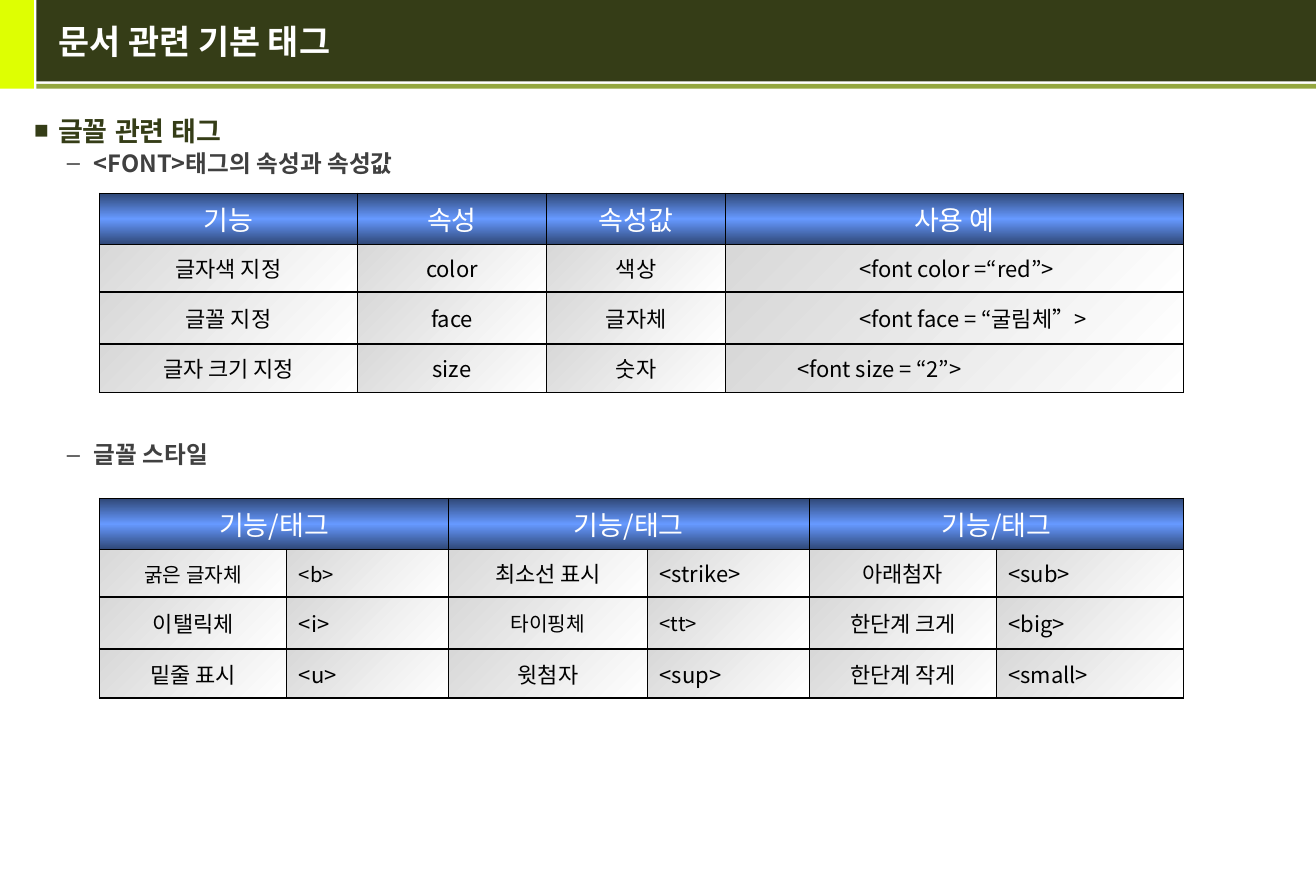
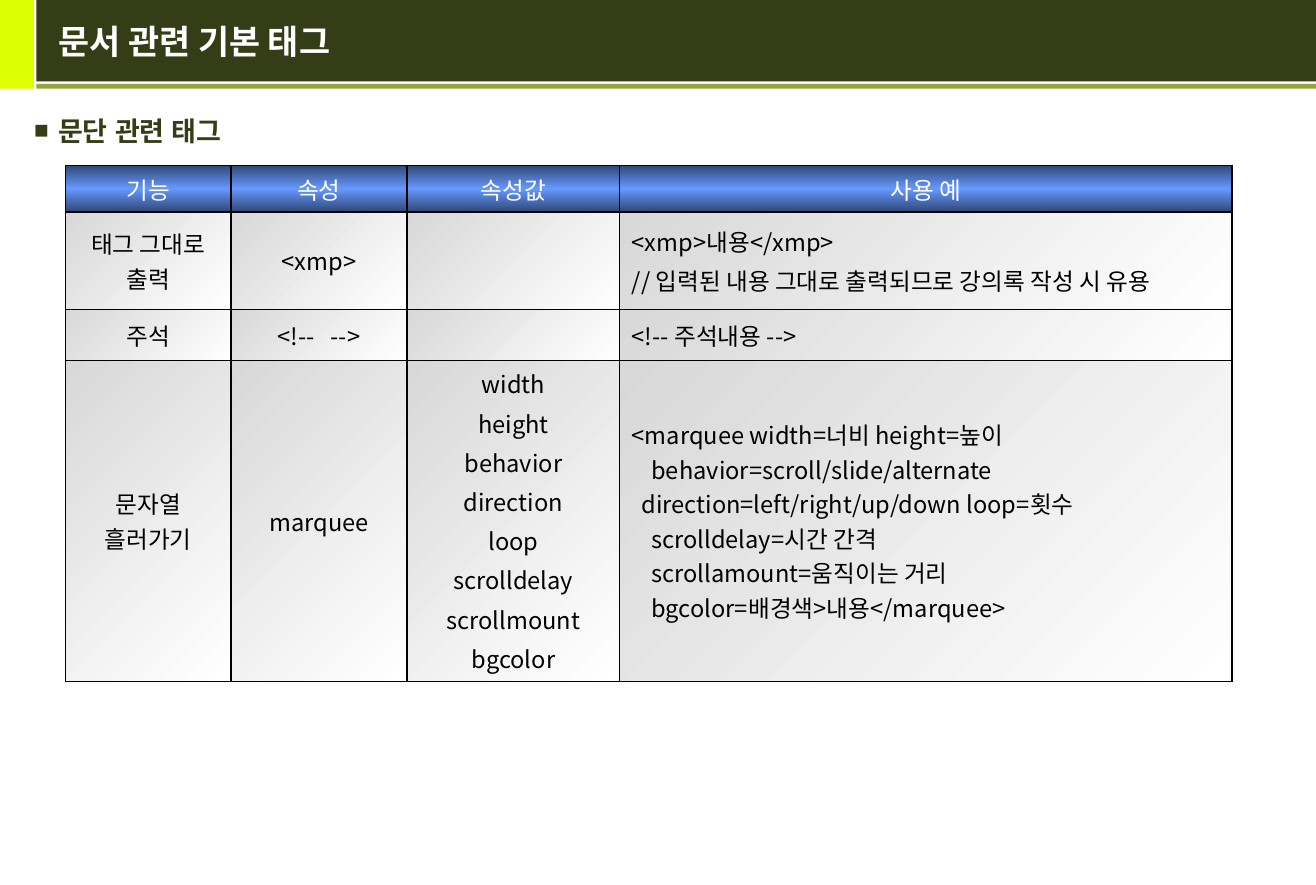
from dataclasses import dataclass

from lxml.etree import SubElement
from pptx import Presentation
from pptx.dml.color import RGBColor
from pptx.enum.shapes import MSO_SHAPE
from pptx.enum.text import MSO_ANCHOR, MSO_AUTO_SIZE, PP_ALIGN
from pptx.oxml.ns import qn
from pptx.util import Inches, Pt


@dataclass(frozen=True)
class Theme:
    lime: str = "DEFF02"
    dark_olive: str = "353D17"
    olive: str = "93A73F"
    grey: str = "404040"
    white: str = "FFFFFF"
    black: str = "000000"
    header_stops: tuple = ((0, "2F4776"), (50, "6699FF"), (100, "2F4776"))
    body_stops: tuple = ((0, "D8D8D8"), (100, "FFFFFF"))
    header_angle: int = 90
    body_angle: int = 45
    border: float = 1
    korean: str = "Noto Sans CJK KR"
    latin: str = "Arial"
    title_size: int = 20
    topic_size: int = 16
    subtopic_size: int = 14


@dataclass(frozen=True)
class Line:
    """One line of a table cell; size None takes the size of the table."""
    text: str
    size: int | None = None
    indent: float = 0
    gap: bool = True


THEME = Theme()
TITLE = "문서 관련 기본 태그"

# left, top, width, height, colour
BANDS = [
    (0, 0, 0.28, 0.73, THEME.lime),
    (0.3, 0, 10.54, 0.67, THEME.dark_olive),
    (0.3, 0.69, 10.54, 0.04, THEME.olive),
]

FONT_TABLE = {
    "at": (0.82, 1.59),
    "columns": [2.12, 1.56, 1.47, 3.77],
    "rows": [0.42, 0.39, 0.43, 0.4],
    "sizes": (16, 13),
    "left_columns": {3},
    "header": ["기능", "속성", "속성값", "사용 예"],
    "body": [
        ["글자색 지정", "color", "색상", Line("<font color =“red”>", indent=1)],
        ["글꼴 지정", "face", "글자체", Line("<font face = “굴림체”>", indent=1)],
        ["글자 크기 지정", "size", "숫자", Line("<font size = “2”>", indent=0.49)],
    ],
}

STYLE_TABLE = {
    "at": (0.82, 4.1),
    "columns": [1.54, 1.33, 1.64, 1.33, 1.54, 1.54],
    "rows": [0.42, 0.39, 0.43, 0.4],
    "sizes": (16, 13),
    "left_columns": {1, 3, 5},
    "header": ["기능/태그"] * 3,
    "body": [
        [Line("굵은 글자체", 12), Line("<b>", 12), "최소선 표시", "<strike>",
         "아래첨자", "<sub>"],
        ["이탤릭체", "<i>", Line("타이핑체", 12), Line("<tt>", 12),
         "한단계 크게", "<big>"],
        ["밑줄 표시", "<u>", "윗첨자", "<sup>", "한단계 작게", "<small>"],
    ],
}

PARAGRAPH_TABLE = {
    "at": (0.54, 1.36),
    "columns": [1.36, 1.45, 1.75, 5.04],
    "rows": [0.38, 0.8, 0.42, 2.64],
    "sizes": (14, 14),
    "left_columns": {3},
    "header": ["기능", "속성", "속성값", "사용 예"],
    "body": [
        ["태그 그대로 출력", "<xmp>", "",
         ["<xmp>내용</xmp>", "// 입력된 내용 그대로 출력되므로 강의록 작성 시 유용"]],
        ["주석", "<!--   -->", "", "<!-- 주석내용 -->"],
        ["문자열 흘러가기", "marquee",
         ["width", "height", "behavior", "direction", "loop",
          "scrolldelay", "scrollmount", "bgcolor"],
         [Line("<marquee width=너비 height=높이"),
          Line("behavior=scroll/slide/alternate", indent=0.16, gap=False),
          Line("direction=left/right/up/down loop=횟수", indent=0.08, gap=False),
          Line("scrolldelay=시간 간격", indent=0.16, gap=False),
          Line("scrollamount=움직이는 거리", indent=0.16, gap=False),
          Line("bgcolor=배경색>내용</marquee>", indent=0.16, gap=False)]],
    ],
}

# topic, [(subtopic, points of space above)], tables
PAGES = [
    ("글꼴 관련 태그",
     [("<FONT>태그의 속성과 속성값", 1), ("글꼴 스타일", 156)],
     [FONT_TABLE, STYLE_TABLE]),
    ("문단 관련 태그", [], [PARAGRAPH_TABLE]),
]


def style_font(para, size, color, name=THEME.korean, bold=False):
    font = para.font
    font.size = Pt(size)
    font.bold = bold
    font.color.rgb = RGBColor.from_string(color)
    font.name = name
    properties = para._p.get_or_add_pPr().find(qn("a:defRPr"))
    SubElement(properties, qn("a:ea"), typeface=name)


def set_bullet(para, mark, color, left, hanging, percent=100):
    properties = para._p.get_or_add_pPr()
    properties.set("marL", str(Inches(left)))
    properties.set("indent", str(-Inches(hanging)))
    tint = SubElement(properties, qn("a:buClr"))
    SubElement(tint, qn("a:srgbClr"), val=color)
    SubElement(properties, qn("a:buSzPct"), val=str(percent * 1000))
    SubElement(properties, qn("a:buFont"), typeface=THEME.latin)
    SubElement(properties, qn("a:buChar"), char=mark)


def paint_cell(cell, stops, angle):
    """Give a cell its four borders and a linear gradient."""
    properties = cell._tc.get_or_add_tcPr()
    for side in ("lnL", "lnR", "lnT", "lnB"):
        line = SubElement(properties, qn(f"a:{side}"), w=str(Pt(THEME.border)))
        ink = SubElement(line, qn("a:solidFill"))
        SubElement(ink, qn("a:srgbClr"), val=THEME.black)
    gradient = SubElement(properties, qn("a:gradFill"), rotWithShape="1")
    stop_list = SubElement(gradient, qn("a:gsLst"))
    for position, color in stops:
        stop = SubElement(stop_list, qn("a:gs"), pos=str(position * 1000))
        SubElement(stop, qn("a:srgbClr"), val=color)
    SubElement(gradient, qn("a:lin"), ang=str(angle * 60000), scaled="0")


def write_cell(cell, content, size, color, align):
    cell.vertical_anchor = MSO_ANCHOR.MIDDLE
    items = content if isinstance(content, list) else [content]
    for index, item in enumerate(items):
        line = item if isinstance(item, Line) else Line(item)
        points = line.size or size
        frame = cell.text_frame
        para = frame.add_paragraph() if index else frame.paragraphs[0]
        para.alignment = align
        para.space_before = Pt(0.2 * points if index and line.gap else 0)
        if line.indent:
            para._p.get_or_add_pPr().set("marL", str(Inches(line.indent)))
        style_font(para, points, color)
        if line.text:
            para.add_run().text = line.text
        else:
            para._p.get_or_add_endParaRPr().set("sz", str(points * 100))


def add_tag_table(page, data):
    columns, rows = data["columns"], data["rows"]
    left, top = data["at"]
    table = page.shapes.add_table(
        len(rows), len(columns), Inches(left), Inches(top),
        Inches(sum(columns)), Inches(sum(rows))).table
    table.first_row = table.horz_banding = False
    for column, width in zip(table.columns, columns):
        column.width = Inches(width)
    for row, height in zip(table.rows, rows):
        row.height = Inches(height)

    for column in range(len(columns)):
        paint_cell(table.cell(0, column), THEME.header_stops, THEME.header_angle)
    header_size, body_size = data["sizes"]
    span = len(columns) // len(data["header"])
    for index, label in enumerate(data["header"]):
        cell = table.cell(0, index * span)
        if span > 1:
            cell.merge(table.cell(0, index * span + span - 1))
        write_cell(cell, label, header_size, THEME.white, PP_ALIGN.CENTER)

    for row, contents in enumerate(data["body"], start=1):
        for column, content in enumerate(contents):
            cell = table.cell(row, column)
            paint_cell(cell, THEME.body_stops, THEME.body_angle)
            is_left = column in data["left_columns"]
            write_cell(cell, content, body_size, THEME.black,
                       PP_ALIGN.LEFT if is_left else PP_ALIGN.CENTER)


def place(shape, left, top, width, height):
    shape.left, shape.top = Inches(left), Inches(top)
    shape.width, shape.height = Inches(width), Inches(height)


def add_master_bands(deck, page):
    """Draw the bands on a page and move them to the back of the master."""
    master_tree = deck.slide_master.shapes._spTree
    for index, (left, top, width, height, color) in enumerate(BANDS):
        band = page.shapes.add_shape(
            MSO_SHAPE.RECTANGLE, Inches(left), Inches(top),
            Inches(width), Inches(height))
        band.shadow.inherit = False
        band.fill.solid()
        band.fill.fore_color.rgb = RGBColor.from_string(color)
        band.line.fill.background()
        master_tree.insert(2 + index, band._element)


def write_title(page):
    title = page.shapes.title
    title.text_frame.text = TITLE
    title.text_frame.vertical_anchor = MSO_ANCHOR.MIDDLE
    title.text_frame.auto_size = MSO_AUTO_SIZE.NONE
    para = title.text_frame.paragraphs[0]
    para.alignment = PP_ALIGN.LEFT
    style_font(para, THEME.title_size, THEME.white, bold=True)


def write_outline(page, topic, subtopics):
    frame = page.placeholders[1].text_frame
    frame.auto_size = MSO_AUTO_SIZE.NONE
    frame.text = topic
    para = frame.paragraphs[0]
    set_bullet(para, "■", THEME.dark_olive, 0.2, 0.2, 90)
    para.space_before = Pt(0)
    style_font(para, THEME.topic_size, THEME.dark_olive, THEME.latin, bold=True)
    for text, space in subtopics:
        para = frame.add_paragraph()
        para.text = text
        para.level = 1
        set_bullet(para, "–", THEME.grey, 0.49, 0.22)
        para.space_before = Pt(space)
        style_font(para, THEME.subtopic_size, THEME.grey, bold=True)


def main():
    deck = Presentation()
    deck.slide_width, deck.slide_height = Inches(10.83), Inches(7.28)
    layout = deck.slide_layouts.get_by_name("Title and Content")
    title, body = list(layout.placeholders)[:2]
    place(title, 0.38, 0, 10.32, 0.68)
    place(body, 0.18, 0.89, 10.47, 6.22)

    for number, (topic, subtopics, tables) in enumerate(PAGES):
        page = deck.slides.add_slide(layout)
        if number == 0:
            add_master_bands(deck, page)
        write_title(page)
        write_outline(page, topic, subtopics)
        for data in tables:
            add_tag_table(page, data)
    deck.save("out.pptx")


if __name__ == "__main__":
    main()
